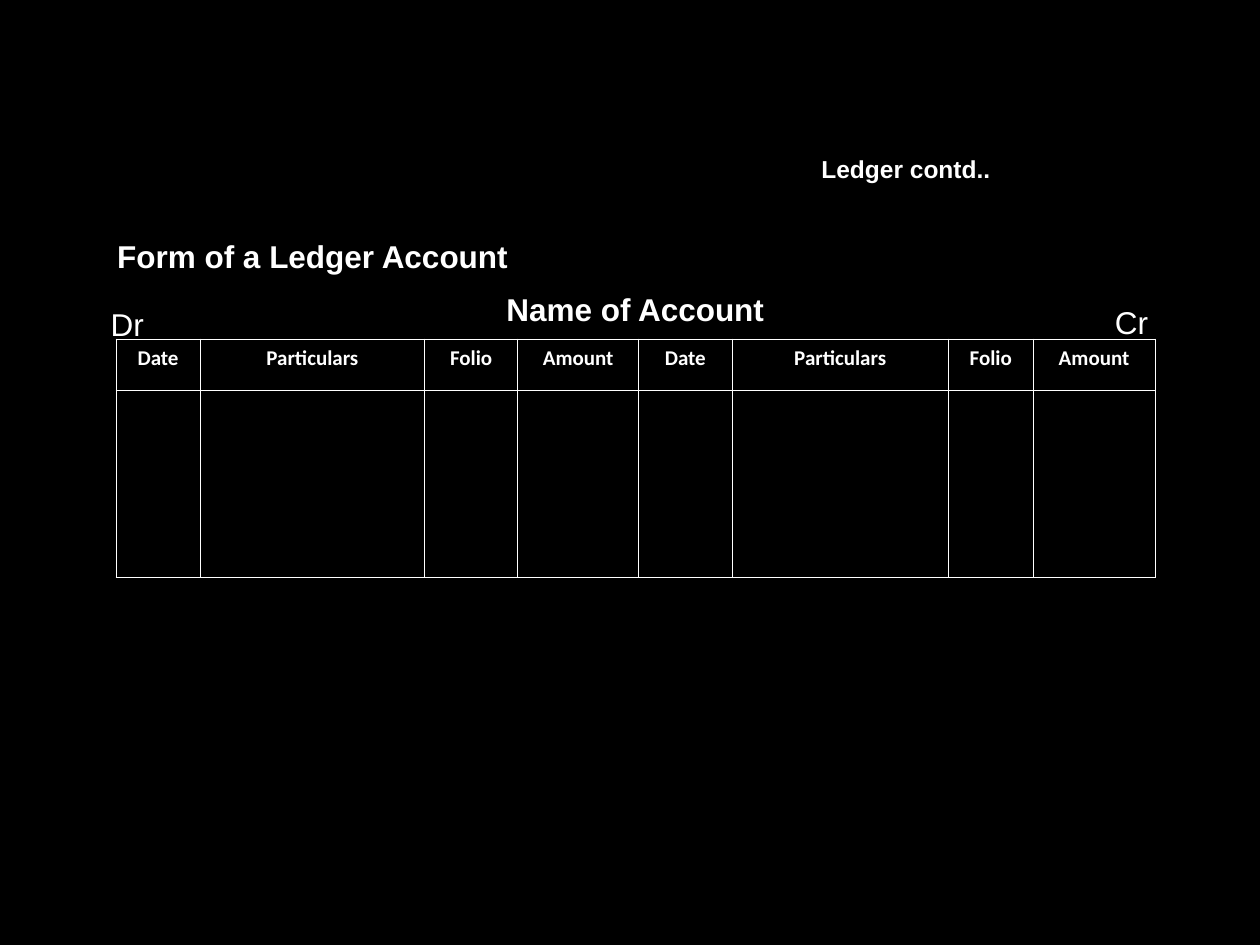
from lxml.etree import SubElement
from pptx import Presentation
from pptx.dml.color import RGBColor
from pptx.enum.text import MSO_ANCHOR, MSO_AUTO_SIZE, PP_ALIGN
from pptx.oxml.ns import qn
from pptx.util import Inches, Pt

COLORS = {"background": "000000", "ink": "FFFFFF"}
ACCOUNT_SIDE = ["Date", "Particulars", "Folio", "Amount"]
COLUMN_WIDTHS = [0.67, 1.78, 0.74, 0.96, 0.74, 1.72, 0.67, 0.97]
ROW_HEIGHTS = [0.41, 1.48]
TABLE_LEFT, TABLE_TOP = 0.92, 2.69
BORDER_WIDTH = Pt(0.45)


def color(name):
    return RGBColor.from_string(COLORS[name])


def write_text(frame, text, size=18, font="Arial", bold=False, align=PP_ALIGN.LEFT):
    para = frame.paragraphs[0]
    para.alignment = align
    span = para.add_run()
    span.text = text
    span.font.size = Pt(size)
    span.font.name = font
    span.font.bold = bold
    span.font.color.rgb = color("ink")


def place(shape, left, top, width, height):
    shape.left, shape.top = Inches(left), Inches(top)
    shape.width, shape.height = Inches(width), Inches(height)


def fill_box(box, area, text, wrap=True, **text_format):
    """Place a text box or placeholder and write its single line."""
    place(box, *area)
    frame = box.text_frame
    frame.word_wrap = wrap
    frame.auto_size = MSO_AUTO_SIZE.SHAPE_TO_FIT_TEXT
    frame.vertical_anchor = MSO_ANCHOR.TOP
    write_text(frame, text, **text_format)


def add_label(page, area, text, **options):
    box = page.shapes.add_textbox(0, 0, 0, 0)
    fill_box(box, area, text, **options)


def outline_cell(cell):
    properties = cell._tc.get_or_add_tcPr()
    for side in ("a:lnL", "a:lnR", "a:lnT", "a:lnB"):
        line = SubElement(properties, qn(side), w=str(BORDER_WIDTH))
        fill = SubElement(line, qn("a:solidFill"))
        SubElement(fill, qn("a:srgbClr"), val=COLORS["ink"])


def add_ledger_table(page):
    headings = ACCOUNT_SIDE * 2
    table = page.shapes.add_table(
        len(ROW_HEIGHTS), len(headings), Inches(TABLE_LEFT), Inches(TABLE_TOP),
        Inches(sum(COLUMN_WIDTHS)), Inches(sum(ROW_HEIGHTS))).table
    for column, width in zip(table.columns, COLUMN_WIDTHS):
        column.width = Inches(width)
    for row, height in zip(table.rows, ROW_HEIGHTS):
        row.height = Inches(height)
    for cell in table.iter_cells():
        outline_cell(cell)
        cell.fill.background()
    for cell, heading in zip(table.rows[0].cells, headings):
        write_text(cell.text_frame, heading, size=12, font="Calibri",
                   bold=True, align=PP_ALIGN.CENTER)


def main():
    deck = Presentation()
    deck.slide_width, deck.slide_height = Inches(10), Inches(7.5)
    page = deck.slides.add_slide(deck.slide_layouts[5])
    page.background.fill.solid()
    page.background.fill.fore_color.rgb = color("background")

    add_label(page, (6.42, 1.17, 2.42, 0.34), "Ledger contd..", size=14, bold=True)
    fill_box(page.shapes.title, (0.83, 1.83, 6.5, 0.4),
             "Form of a Ledger Account", bold=True)
    add_label(page, (3.92, 2.25, 2.58, 0.4), "Name of Account", bold=True)
    add_ledger_table(page)
    add_label(page, (0.78, 2.37, 0.5, 0.4), "Dr", wrap=False)
    add_label(page, (8.75, 2.36, 0.5, 0.4), "Cr", wrap=False)
    deck.save("out.pptx")


if __name__ == "__main__":
    main()
